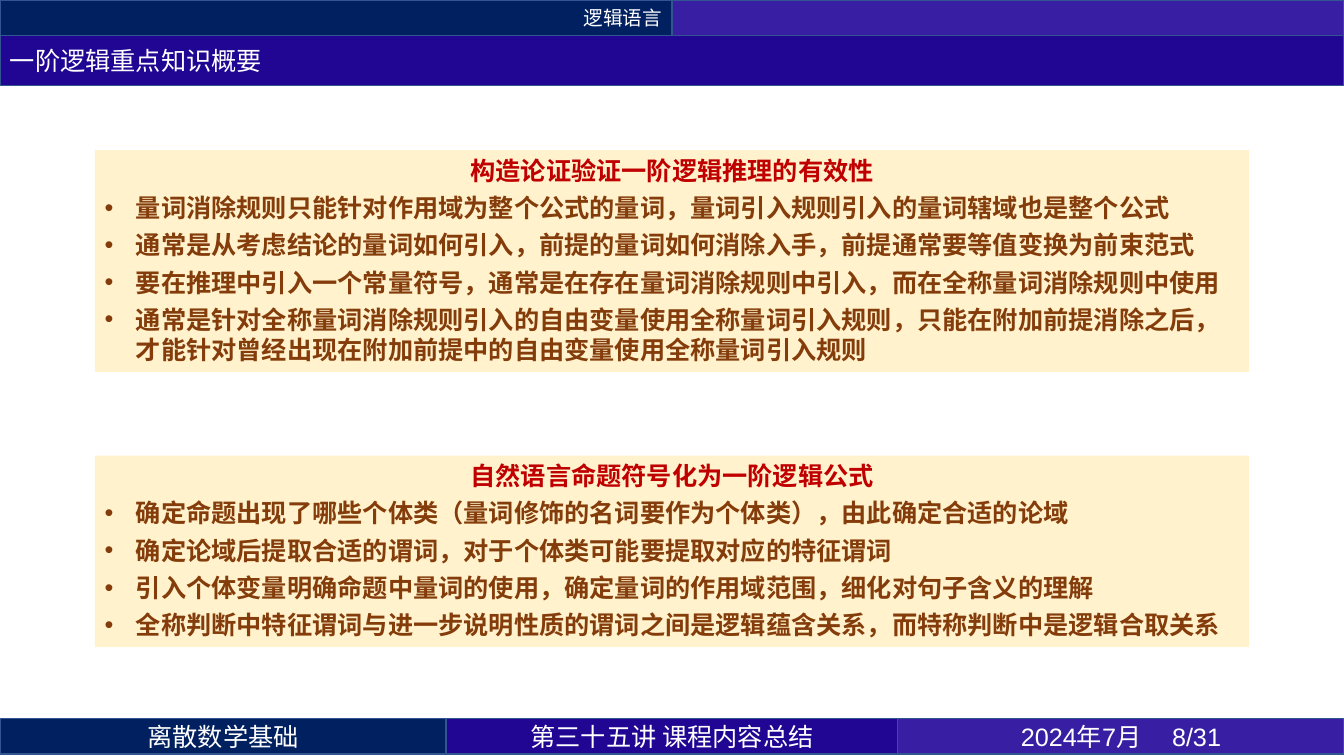
import pptx
import pptx.util
import pptx.dml.color
import pptx.enum.shapes
import pptx.enum.text
import pptx.oxml
import pptx.oxml.ns

RGBColor = pptx.dml.color.RGBColor
ALIGN = pptx.enum.text.PP_ALIGN
ANCHOR = pptx.enum.text.MSO_ANCHOR

NAVY = RGBColor(0x00, 0x20, 0x60)
INDIGO = RGBColor(0x21, 0x06, 0x94)
VIOLET = RGBColor(0x37, 0x1E, 0xA2)
EDGE = RGBColor(0x32, 0x54, 0x91)
CREAM = RGBColor(0xFF, 0xF2, 0xCC)
RED = RGBColor(0xC0, 0x00, 0x00)
BROWN = RGBColor(0x84, 0x3C, 0x0B)
WHITE = RGBColor(0xFF, 0xFF, 0xFF)

CJK = "Noto Sans CJK SC"
WIDTH, HEIGHT = 13.33, 7.5
BAR = 0.35 / HEIGHT
TITLE = 0.5 / HEIGHT
FOOTER_TOP = 7.13 / HEIGHT
CARD_LEFT = 0.94 / WIDTH

CARDS = [
    (1.49 / HEIGHT, 2.2 / HEIGHT, "构造论证验证一阶逻辑推理的有效性", [
        "量词消除规则只能针对作用域为整个公式的量词，量词引入规则引入的量词辖域也是整个公式",
        "通常是从考虑结论的量词如何引入，前提的量词如何消除入手，前提通常要等值变换为前束范式",
        "要在推理中引入一个常量符号，通常是在存在量词消除规则中引入，而在全称量词消除规则中使用",
        "通常是针对全称量词消除规则引入的自由变量使用全称量词引入规则，只能在附加前提消除之后，"
        "才能针对曾经出现在附加前提中的自由变量使用全称量词引入规则",
    ]),
    (4.52 / HEIGHT, 1.9 / HEIGHT, "自然语言命题符号化为一阶逻辑公式", [
        "确定命题出现了哪些个体类（量词修饰的名词要作为个体类），由此确定合适的论域",
        "确定论域后提取合适的谓词，对于个体类可能要提取对应的特征谓词",
        "引入个体变量明确命题中量词的使用，确定量词的作用域范围，细化对句子含义的理解",
        "全称判断中特征谓词与进一步说明性质的谓词之间是逻辑蕴含关系，而特称判断中是逻辑合取关系",
    ]),
]


class Deck:
    def __init__(self):
        self.prs = pptx.Presentation()
        self.prs.slide_width = pptx.util.Inches(WIDTH)
        self.prs.slide_height = pptx.util.Inches(HEIGHT)
        self.slide = self.prs.slides.add_slide(self.prs.slide_layouts[6])

    def box(self, x, y, w, h, fill):
        sw, sh = self.prs.slide_width, self.prs.slide_height
        sp = self.slide.shapes.add_shape(
            pptx.enum.shapes.MSO_SHAPE.RECTANGLE,
            round(x * sw), round(y * sh), round(w * sw), round(h * sh))
        sp.shadow.inherit = False
        sp.fill.solid()
        sp.fill.fore_color.rgb = fill
        sp.line.fill.background()
        sp.text_frame.word_wrap = True
        return sp

    def style(self, p, color, align, size=18, font=CJK, bold=False):
        p.alignment = align
        for r in p.runs:
            r.font.size = pptx.util.Pt(size)
            r.font.name = font
            r.font.bold = bold
            r.font.color.rgb = color
            ea = pptx.oxml.parse_xml(
                f'<a:ea {pptx.oxml.ns.nsdecls("a")} typeface="{CJK}"/>')
            r.font._element.find(pptx.oxml.ns.qn("a:latin")).addnext(ea)

    def bar(self, x, y, w, h, fill, text="", align=ALIGN.CENTER, size=18, font=CJK):
        sp = self.box(x, y, w, h, fill)
        sp.line.color.rgb = EDGE
        sp.line.width = pptx.util.Pt(1)
        tf = sp.text_frame
        tf.vertical_anchor = ANCHOR.MIDDLE
        tf.text = text
        self.style(tf.paragraphs[0], WHITE, align, size, font)

    def bullet(self, p):
        pPr = p._p.get_or_add_pPr()
        indent = pptx.util.Inches(0.31)
        pPr.set("marL", str(indent))
        pPr.set("indent", str(-indent))
        for tag in ('buFont typeface="Arial"', 'buChar char="•"'):
            pPr.append(pptx.oxml.parse_xml(
                f'<a:{tag} {pptx.oxml.ns.nsdecls("a")}/>'))

    def card(self, y, h, heading, points):
        sp = self.box(CARD_LEFT, y, 1 - 2 * CARD_LEFT, h, CREAM)
        tf = sp.text_frame
        tf.vertical_anchor = ANCHOR.TOP
        tf.text = heading
        self.style(tf.paragraphs[0], RED, ALIGN.CENTER, bold=True)
        for point in points:
            p = tf.add_paragraph()
            p.text = point
            self.bullet(p)
            p.space_before = pptx.util.Pt(5)
            self.style(p, BROWN, ALIGN.LEFT, bold=True)


def main():
    deck = Deck()
    deck.bar(0, 0, 0.5, BAR, NAVY, "逻辑语言", ALIGN.RIGHT, 14)
    deck.bar(0.5, 0, 0.5, BAR, VIOLET)
    side, middle = 0.332, 0.336
    deck.bar(0, FOOTER_TOP, side, BAR, NAVY, "离散数学基础")
    deck.bar(side, FOOTER_TOP, middle, BAR, INDIGO, "第三十五讲 课程内容总结")
    deck.bar(side + middle, FOOTER_TOP, side, BAR, VIOLET,
             "2024年7月 \t8/31", font="Arial")
    deck.bar(0, BAR, 1, TITLE, INDIGO, "一阶逻辑重点知识概要", ALIGN.LEFT)
    for card in CARDS:
        deck.card(*card)
    deck.prs.save("out.pptx")


if __name__ == "__main__":
    main()
